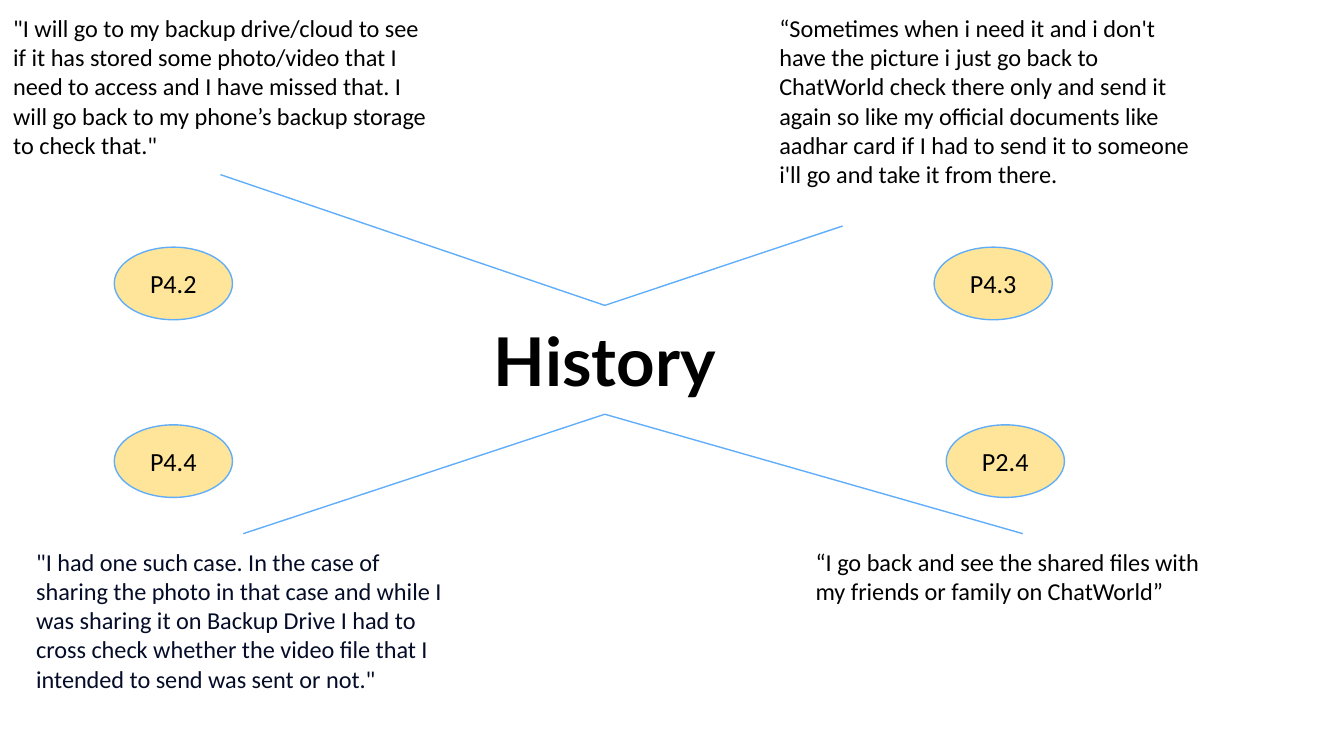
from lxml import etree
from pptx import Presentation
from pptx import util as u
from pptx.dml.color import RGBColor
from pptx.enum import shapes, text
from pptx.oxml.ns import qn

COLOURS = {"ink": "000000", "navy": "040C28", "line": "60AEFA", "badge": "FFE599"}
SLIDE_WIDTH = u.Inches(10)
SLIDE_HEIGHT = SLIDE_WIDTH * 9 // 16
TOP, LEFT, BOTTOM = 0, 1, 2

BOX_WIDTH = 32.8
BADGE_WIDTH, BADGE_HEIGHT = 8.8, 9.6
UPPER_BADGES, LOWER_BADGES = 32.7, 56.2
LOWER_QUOTES = 70.6
THEME = {"text": "History", "left": 28.6, "top": 40.4, "height": 14.4}

QUOTES = [
    {"text": "\"I will go to my backup drive/cloud to see if it has stored some photo/video "
             "that I need to access and I have missed that. I will go back to my phone’s "
             "backup storage to check that.\"",
     "left": 0, "top": 0, "height": 23.1, "colour": "ink",
     "person": "P4.2", "badge": (8.5, UPPER_BADGES), "sides": (TOP, BOTTOM)},
    {"text": "“I go back and see the shared files with my friends or family on ChatWorld”",
     "left": 59.7, "top": LOWER_QUOTES, "height": 11.4, "colour": "ink",
     "person": "P2.4", "badge": (70.4, LOWER_BADGES), "sides": (BOTTOM, TOP)},
    {"text": "“Sometimes when i need it and i don't have the picture i just go back to "
             "ChatWorld check there only and send it again so like my official documents "
             "like aadhar card if I had to send it to someone i'll go and take it from there.",
     "left": 57, "top": 0, "height": 27, "colour": "ink",
     "person": "P4.3", "badge": (69.5, UPPER_BADGES), "sides": (TOP, None),
     "line_end": (62.7, 29.9)},
    {"text": "\"I had one such case. In the case of sharing the photo in that case and while "
             "I was sharing it on Backup Drive I had to cross check whether the video file "
             "that I intended to send was sent or not.\"",
     "left": 1.7, "top": LOWER_QUOTES, "height": 23.1, "colour": "navy",
     "person": "P4.4", "badge": (8.5, LOWER_BADGES), "sides": (BOTTOM, TOP)},
]


def colour(name):
    return RGBColor.from_string(COLOURS[name])


def across(percent):
    return round(SLIDE_WIDTH * percent / 100)


def down(percent):
    return round(SLIDE_HEIGHT * percent / 100)


def area(left, top, width, height):
    return across(left), down(top), across(width), down(height)


def write(shape, words, size, font="Calibri", ink="ink", bold=False, centred=True):
    frame = shape.text_frame
    frame.word_wrap = True
    frame.margin_left = frame.margin_right = u.Inches(0.1)
    frame.margin_top = frame.margin_bottom = u.Inches(0.1)
    paragraph = frame.paragraphs[0]
    paragraph.alignment = text.PP_ALIGN.CENTER if centred else text.PP_ALIGN.LEFT
    run = paragraph.add_run()
    run.text = words
    run.font.name, run.font.size, run.font.bold = font, u.Pt(size), bold
    run.font.color.rgb = colour(ink)


def add_box(slide, item, size, **style):
    box = slide.shapes.add_textbox(*area(item["left"], item["top"], BOX_WIDTH, item["height"]))
    write(box, item["text"], size, **style)
    box.text_frame.auto_size = text.MSO_AUTO_SIZE.SHAPE_TO_FIT_TEXT
    return box


def outline(shape):
    shape.line.color.rgb = colour("line")
    shape.line.width = u.Pt(0.75)


def add_link(slide, theme, quote_box, quote):
    theme_side, quote_side = quote["sides"]
    end_x, end_y = quote.get("line_end", (0, 0))
    link = slide.shapes.add_connector(
        shapes.MSO_CONNECTOR.STRAIGHT, 0, 0, across(end_x), down(end_y))
    link.begin_connect(theme, theme_side)
    if quote_side is not None:
        link.end_connect(quote_box, quote_side)
    outline(link)
    etree.SubElement(link._element.spPr, qn("a:effectLst"))


def add_badge(slide, quote):
    badge = slide.shapes.add_shape(
        shapes.MSO_SHAPE.OVAL, *area(*quote["badge"], BADGE_WIDTH, BADGE_HEIGHT))
    badge.shadow.inherit = False
    badge.fill.solid()
    badge.fill.fore_color.rgb = colour("badge")
    outline(badge)
    write(badge, quote["person"], 14)
    badge.text_frame.vertical_anchor = text.MSO_ANCHOR.MIDDLE


def main():
    presentation = Presentation()
    presentation.slide_width, presentation.slide_height = SLIDE_WIDTH, SLIDE_HEIGHT
    slide = presentation.slides.add_slide(presentation.slide_layouts[6])
    quote_boxes = [add_box(slide, quote, 13, ink=quote["colour"], centred=False)
                   for quote in QUOTES]
    theme = add_box(slide, THEME, 36, font="Lato", bold=True)
    for quote_box, quote in zip(quote_boxes, QUOTES):
        add_link(slide, theme, quote_box, quote)
    for quote in QUOTES:
        add_badge(slide, quote)
    presentation.save("out.pptx")


if __name__ == "__main__":
    main()
